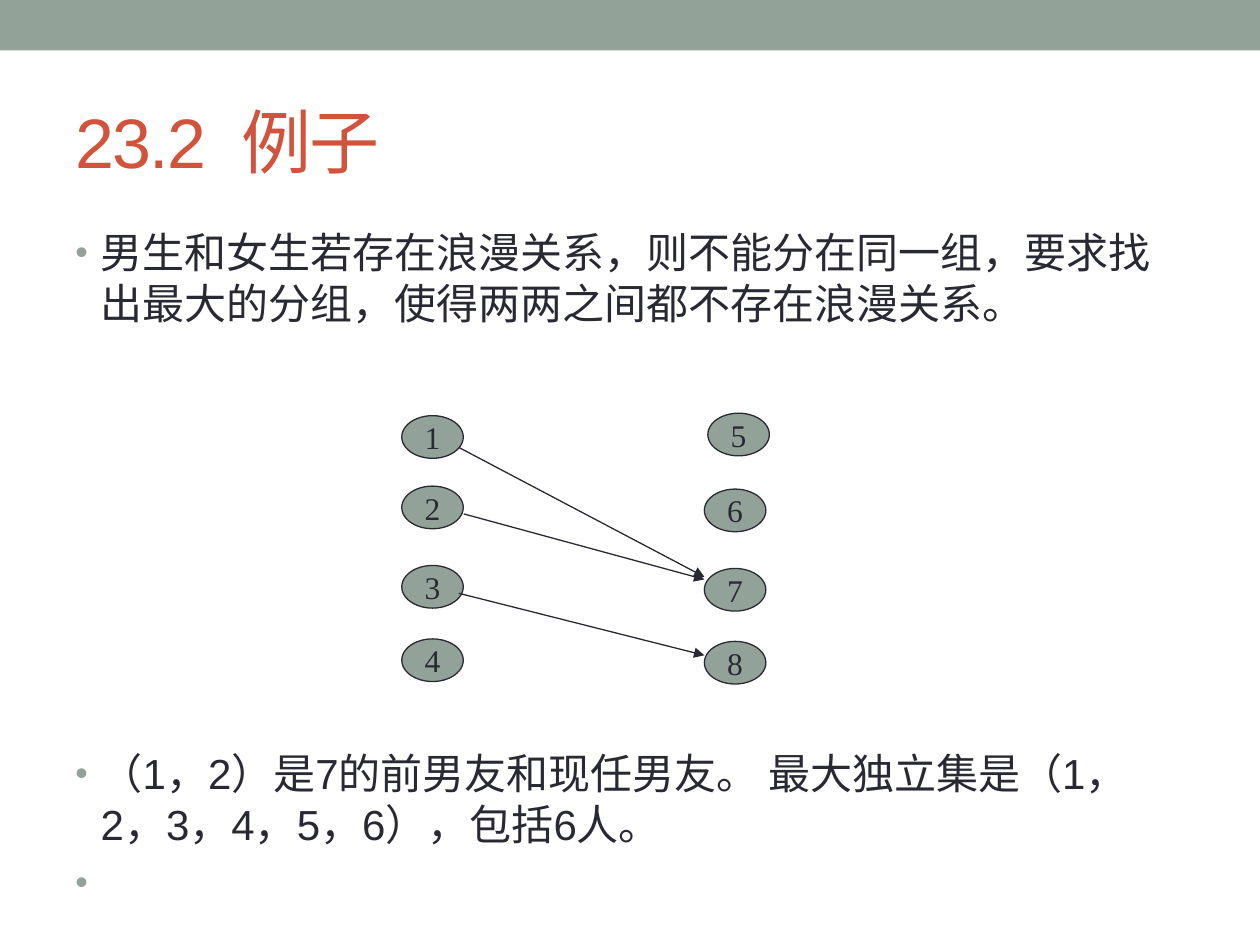
from lxml import etree
from pptx import Presentation
from pptx.dml.color import RGBColor
from pptx.enum.shapes import MSO_CONNECTOR, MSO_SHAPE
from pptx.enum.text import MSO_ANCHOR, PP_ALIGN
from pptx.oxml.ns import qn
from pptx.util import Cm, Pt

SAGE = RGBColor(0x93, 0xA2, 0x99)
RUST = RGBColor(0xD2, 0x53, 0x3C)
INK = RGBColor(0x29, 0x29, 0x34)
RECTANGLE, OVAL = MSO_SHAPE.RECTANGLE, MSO_SHAPE.OVAL
STRAIGHT = MSO_CONNECTOR.STRAIGHT
MIDDLE, CENTER = MSO_ANCHOR.MIDDLE, PP_ALIGN.CENTER

NODE_WIDTH, NODE_HEIGHT = 1.24, 0.86
# Label, left and top in cm, from the corner of the graph
NODES = [
    ("1", 0, 0.05), ("2", 0, 1.47), ("3", 0, 3.07), ("4", 0, 4.55),
    ("5", 6.17, 0), ("6", 6.1, 1.53), ("7", 6.1, 3.13), ("8", 6.1, 4.6),
]
# Start and end of each relation in cm, from the corner of the graph
RELATIONS = [
    ((1.15, 0.69), (6.1, 3.3)),
    ((1.25, 2.03), (6.1, 3.35)),
    ((1.15, 3.63), (6.1, 4.88)),
]


def add_run(paragraph, text, size, font, color):
    """Append one formatted run and return it."""
    run = paragraph.add_run()
    run.text = text
    run.font.size = Pt(size)
    run.font.name = font
    run.font.color.rgb = color
    return run


def add_band(slide, left, top, width, height):
    """Draw the plain band along the top edge."""
    band = slide.shapes.add_shape(RECTANGLE, Cm(left), Cm(top), Cm(width), Cm(height))
    band.shadow.inherit = False
    band.fill.solid()
    band.fill.fore_color.rgb = SAGE
    band.line.fill.background()


def add_title(slide, text, left, top, width, height):
    """Place the slide title, vertically centred in its box."""
    frame = slide.shapes.add_textbox(Cm(left), Cm(top), Cm(width), Cm(height)).text_frame
    frame.word_wrap = True
    frame.vertical_anchor = MIDDLE
    run = add_run(frame.paragraphs[0], text, 40, "Arial", RUST)
    run.font._element.set("spc", "-100")


def set_bullet(paragraph):
    """Give a paragraph a hanging sage bullet."""
    properties = paragraph._p.get_or_add_pPr()
    properties.set("marL", str(Cm(0.51)))
    properties.set("indent", str(-Cm(0.51)))
    color = etree.SubElement(properties, qn("a:buClr"))
    etree.SubElement(color, qn("a:srgbClr"), val=str(SAGE))
    etree.SubElement(properties, qn("a:buSzPct"), val="85000")
    etree.SubElement(properties, qn("a:buFont"), typeface="Arial")
    etree.SubElement(properties, qn("a:buChar"), char="•")


def add_bullets(slide, items, left, top, width, height):
    """Place a bulleted list, one paragraph per item."""
    frame = slide.shapes.add_textbox(Cm(left), Cm(top), Cm(width), Cm(height)).text_frame
    frame.word_wrap = True
    for index, item in enumerate(items):
        paragraph = frame.add_paragraph() if index else frame.paragraphs[0]
        paragraph.space_before = Pt(5)
        set_bullet(paragraph)
        add_run(paragraph, item, 24, "Arial", INK)


def add_node(slide, label, left, top):
    """Draw one numbered person of the graph."""
    node = slide.shapes.add_shape(OVAL, Cm(left), Cm(top), Cm(NODE_WIDTH), Cm(NODE_HEIGHT))
    node.shadow.inherit = False
    node.fill.solid()
    node.fill.fore_color.rgb = SAGE
    node.line.color.rgb = INK
    node.line.width = Pt(0.75)
    frame = node.text_frame
    frame.word_wrap = False
    frame.vertical_anchor = MIDDLE
    frame.paragraphs[0].alignment = CENTER
    add_run(frame.paragraphs[0], label, 18, "Times New Roman", INK)


def add_relation(slide, start_x, start_y, end_x, end_y):
    """Draw an arrow between two people."""
    arrow = slide.shapes.add_connector(
        STRAIGHT, Cm(start_x), Cm(start_y), Cm(end_x), Cm(end_y))
    arrow.line.color.rgb = INK
    arrow.line.width = Pt(0.75)
    etree.SubElement(arrow.line._get_or_add_ln(), qn("a:tailEnd"), type="triangle")
    etree.SubElement(arrow._element.spPr, qn("a:effectLst"))


def add_graph(slide, left, top):
    """Draw the people and their relations from the given corner."""
    for label, x, y in NODES:
        add_node(slide, label, left + x, top + y)
    for (start_x, start_y), (end_x, end_y) in RELATIONS:
        add_relation(slide, left + start_x, top + start_y, left + end_x, top + end_y)


def build():
    """Build the slide and save it."""
    deck = Presentation()
    deck.slide_width, deck.slide_height = Cm(25.4), Cm(19.05)
    slide = deck.slides.add_slide(deck.slide_layouts[6])
    add_band(slide, 0, 0, 25.4, 1.02)
    add_title(slide, "23.2  例子", 1.27, 1.47, 22.86, 2.74)
    add_bullets(slide, [
        "男生和女生若存在浪漫关系，则不能分在同一组，要求找出最大的分组，"
        "使得两两之间都不存在浪漫关系。",
    ], 1.27, 4.45, 22.86, 2.5)
    add_graph(slide, 8.1, 8.33)
    add_bullets(slide, [
        "（1，2）是7的前男友和现任男友。 最大独立集是（1，2，3，4，5，6），包括6人。",
        " ",
    ], 1.27, 14.95, 22.86, 3.4)
    deck.save("out.pptx")


build()
